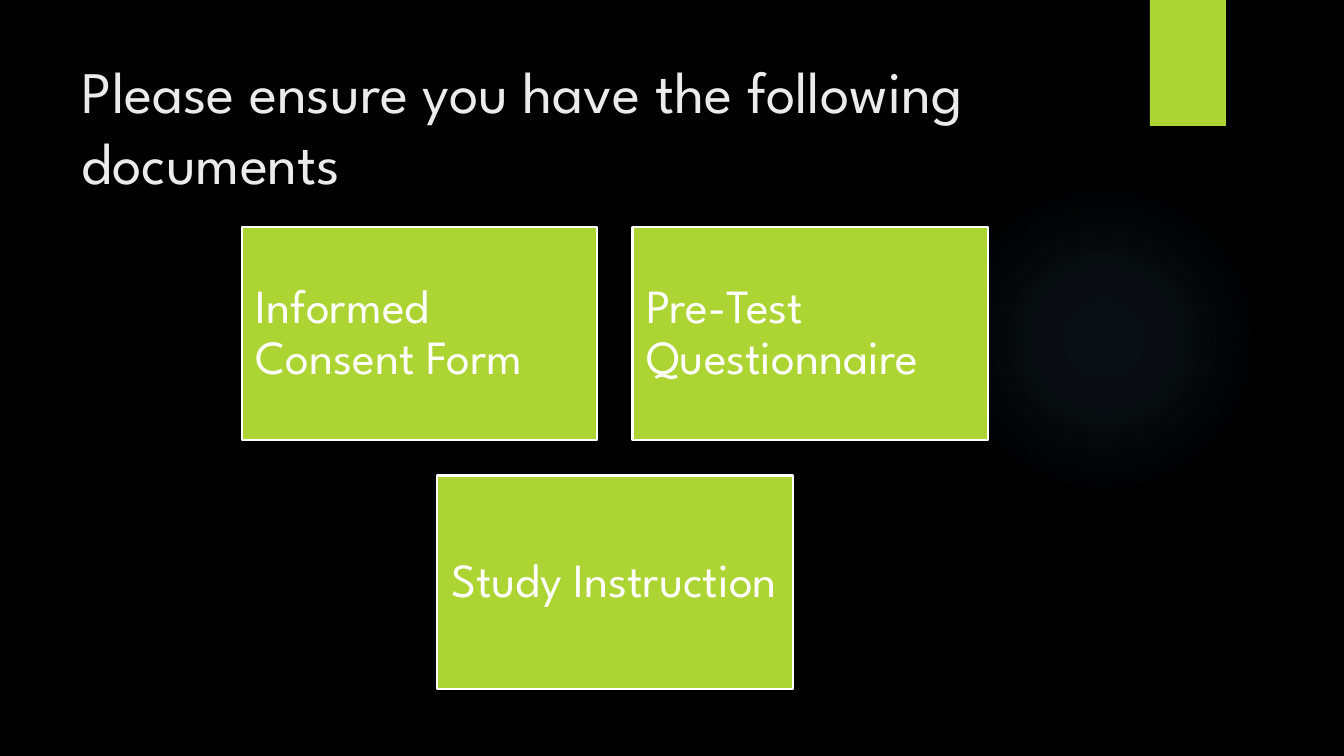
from lxml import etree
from pptx import Presentation
from pptx import util as u
from pptx.dml.color import RGBColor
from pptx.enum import shapes, text
from pptx.oxml import parse_xml
from pptx.oxml.ns import nsdecls, qn

PX = 914400 / 100.8
FONT = "League Spartan"
BLACK = RGBColor(0x00, 0x00, 0x00)
GREEN = RGBColor(0xAC, 0xD4, 0x33)
WHITE = RGBColor(0xFF, 0xFF, 0xFF)
TITLE_GREY = RGBColor(0xEB, 0xEB, 0xEB)
GLOW_BLUE = RGBColor(0x7A, 0xC4, 0xF0)
GLOW_STOPS = [(0, 7), (36, 6), (69, 0)]
DOCUMENTS = ["Informed Consent Form", "Pre-Test Questionnaire", "Study Instruction"]


def emu(*pixels):
    """Turn pixel lengths into EMU."""
    return [u.Emu(round(n * PX)) for n in pixels]


def add_block(s, kind, box, color):
    """Add a flat preset shape without an outline."""
    sp = s.shapes.add_shape(kind, *emu(*box))
    sp.shadow.inherit = False
    sp.fill.solid()
    sp.fill.fore_color.rgb = color
    sp.line.fill.background()
    return sp


def write(tf, words, size, color, anchor, spacing=1.0):
    """Write one left-aligned paragraph into a text frame."""
    tf.word_wrap = True
    tf.vertical_anchor = anchor
    p = tf.paragraphs[0]
    p.alignment = text.PP_ALIGN.LEFT
    p.line_spacing = spacing
    r = p.add_run()
    r.text = words
    r.font.name, r.font.size = FONT, u.Pt(size)
    r.font.color.rgb = color


def add_glow(s, box):
    """Add a faint circle that fades out from its centre."""
    sp = add_block(s, shapes.MSO_SHAPE.OVAL, box, GLOW_BLUE)
    stops = "".join(
        f'<a:gs pos="{pos * 1000}"><a:srgbClr val="{GLOW_BLUE}">'
        f'<a:alpha val="{alpha * 1000}"/></a:srgbClr></a:gs>'
        for pos, alpha in GLOW_STOPS)
    grad = parse_xml(
        f'<a:gradFill {nsdecls("a")}><a:gsLst>{stops}</a:gsLst><a:path path="circle">'
        '<a:fillToRect l="50000" t="50000" r="50000" b="50000"/></a:path></a:gradFill>')
    solid = sp.element.spPr.find(qn("a:solidFill"))
    solid.getparent().replace(solid, grad)


def add_title(s, box):
    """Add the slide title."""
    tf = s.shapes.add_textbox(*emu(*box)).text_frame
    write(tf, "Please ensure you have the following documents", 42, TITLE_GREY,
          text.MSO_ANCHOR.TOP)


def add_card(s, box, words):
    """Add one document card with a white outline."""
    sp = add_block(s, shapes.MSO_SHAPE.RECTANGLE, box, GREEN)
    sp.line.color.rgb = WHITE
    sp.line.width = u.Pt(1.5)
    tf = sp.text_frame
    tf.margin_left, tf.margin_top, tf.margin_right, tf.margin_bottom = emu(14, 14, 14, 14)
    write(tf, words, 34, WHITE, text.MSO_ANCHOR.MIDDLE, 0.9)


def add_cards(s, box, gap=35, columns=2):
    """Lay the cards out in rows, centring each row in the box."""
    x, y, w, h = box
    rows = [DOCUMENTS[i:i + columns] for i in range(0, len(DOCUMENTS), columns)]
    card_w = (w - gap * (columns - 1)) / columns
    card_h = (h - gap * (len(rows) - 1)) / len(rows)
    for i, row in enumerate(rows):
        left = x + (columns - len(row)) * (card_w + gap) / 2
        for j, words in enumerate(row):
            add_card(s, (left + j * (card_w + gap), y + i * (card_h + gap), card_w, card_h), words)


def build():
    """Build and save the slide."""
    prs = Presentation()
    prs.slide_width, prs.slide_height = emu(1344, 756)
    s = prs.slides.add_slide(prs.slide_layouts[6])
    s.background.fill.solid()
    s.background.fill.fore_color.rgb = BLACK
    add_glow(s, (949, 184, 310, 310))
    add_block(s, shapes.MSO_SHAPE.RECTANGLE, (1150, 0, 76, 126), GREEN)
    add_title(s, (72, 50, 1037, 154))
    add_cards(s, (242, 227, 746, 462))
    prs.save("out.pptx")


build()
